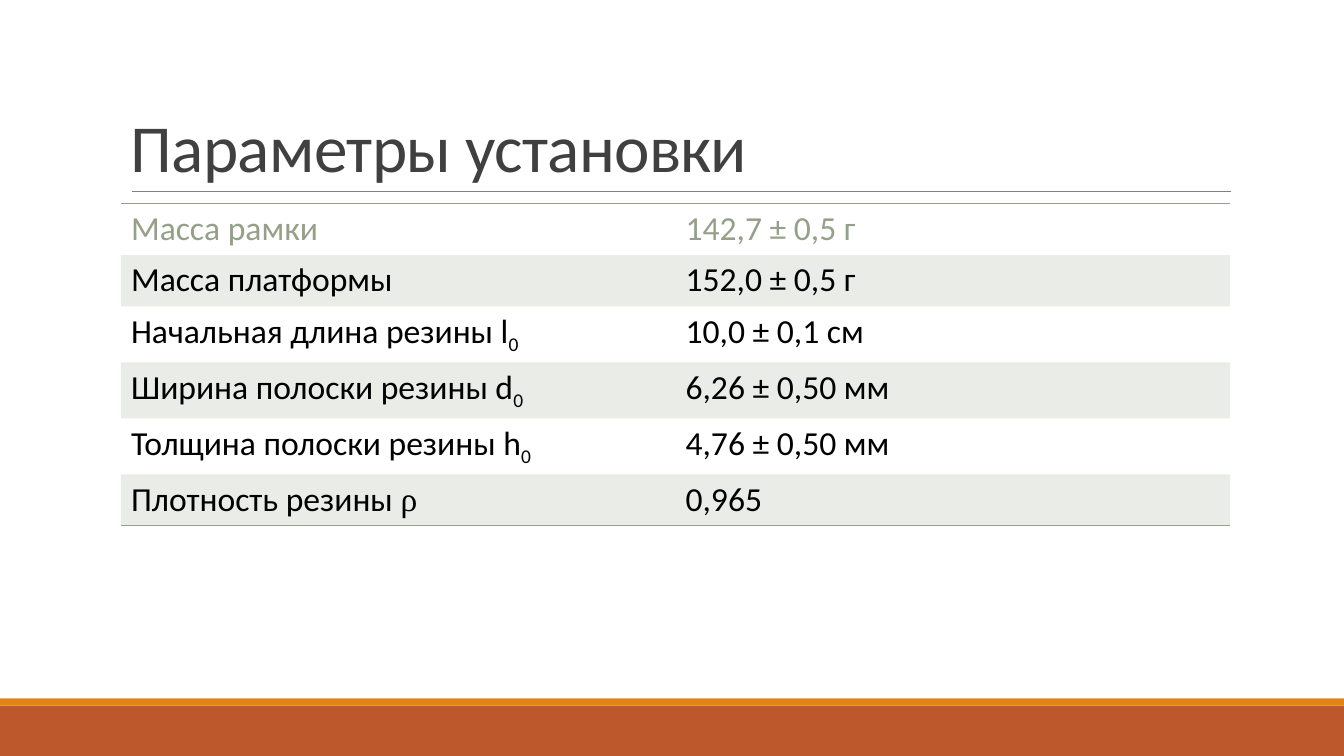
from lxml.etree import SubElement
from pptx import Presentation
from pptx.dml.color import RGBColor
from pptx.enum.shapes import MSO_CONNECTOR, MSO_SHAPE
from pptx.enum.text import MSO_ANCHOR
from pptx.oxml import parse_xml
from pptx.oxml.ns import nsdecls, qn
from pptx.util import Inches, Pt


def color(value):
    return RGBColor.from_string(value)


def add_border(cell, side):
    """Draw a thin sage line on one side of a cell: "T" or "B"."""
    border = parse_xml(
        f'<a:ln{side} {nsdecls("a")} w="{Pt(0.96)}"><a:solidFill>'
        f'<a:srgbClr val="{SAGE}"/></a:solidFill></a:ln{side}>')
    cell._tc.get_or_add_tcPr().insert(0, border)


SAGE = "94A088"
NO_STYLE = "{2D5ABB26-0587-4C30-8999-92F81FD0307C}"

presentation = Presentation()
presentation.slide_width = Inches(13.33)
presentation.slide_height = Inches(7.5)
slide = presentation.slides.add_slide(presentation.slide_layouts[6])

# Footer bands
for top, height, fill in [(7, 0.5, "BD582C"), (6.93, 0.07, "E48312")]:
    band = slide.shapes.add_shape(
        MSO_SHAPE.RECTANGLE, 0, Inches(top), Inches(13.33), Inches(height))
    band.shadow.inherit = False
    band.fill.solid()
    band.fill.fore_color.rgb = color(fill)
    band.line.fill.background()

# Title and its rule
rule = slide.shapes.add_connector(
    MSO_CONNECTOR.STRAIGHT, Inches(1.31), Inches(1.9), Inches(12.21), Inches(1.9))
rule.line.color.rgb = color("808080")
rule.line.width = Pt(0.5)
SubElement(rule._element.spPr, qn("a:effectLst"))

title = slide.shapes.add_textbox(Inches(1.2), Inches(0.31), Inches(11), Inches(1.59))
title.text_frame.word_wrap = True
title.text_frame.vertical_anchor = MSO_ANCHOR.BOTTOM
paragraph = title.text_frame.paragraphs[0]
paragraph.line_spacing = 0.85
run = paragraph.add_run()
run.text = "Параметры установки"
run.font.name = "Calibri"
run.font.size = Pt(48)
run.font.color.rgb = color("404040")
run.font._element.set("spc", "-50")

# Parameter table: name, symbol, subscript, value
parameters = [
    ("Масса рамки", "", "", "142,7 ± 0,5 г"),
    ("Масса платформы", "", "", "152,0 ± 0,5 г"),
    ("Начальная длина резины ", "l", "0", "10,0 ± 0,1 см"),
    ("Ширина полоски резины ", "d", "0", "6,26 ± 0,50 мм"),
    ("Толщина полоски резины ", "h", "0", "4,76 ± 0,50 мм"),
    ("Плотность резины ", "ρ", "", "0,965"),
]
last = len(parameters) - 1
frame = slide.shapes.add_table(
    len(parameters), 2, Inches(1.2), Inches(2.02), Inches(11), Inches(3.18))
table = frame.table
table.first_row = False
table.horz_banding = False
table._tbl.tblPr.find(qn("a:tableStyleId")).text = NO_STYLE

for index, (name, symbol, subscript, value) in enumerate(parameters):
    table.rows[index].height = Inches(0.55 if subscript else 0.51)
    for cell, parts in zip(table.rows[index].cells, [(name, symbol, subscript), (value,)]):
        paragraph = cell.text_frame.paragraphs[0]
        for text in filter(None, parts):
            run = paragraph.add_run()
            run.text = text
            run.font.name = "Times New Roman" if text == "ρ" else "Calibri"
            run.font.size = Pt(24)
            run.font.color.rgb = color("000000" if index else SAGE)
            if text == subscript:
                run.font._element.set("baseline", "-25000")
        if index % 2:
            cell.fill.solid()
            cell.fill.fore_color.rgb = color(SAGE)
            tint = cell._tc.tcPr.find(".//" + qn("a:srgbClr"))
            SubElement(tint, qn("a:alpha")).set("val", "20000")
        else:
            cell.fill.background()
        if index == 0:
            add_border(cell, "T")
        if index == last:
            add_border(cell, "B")

presentation.save("out.pptx")
